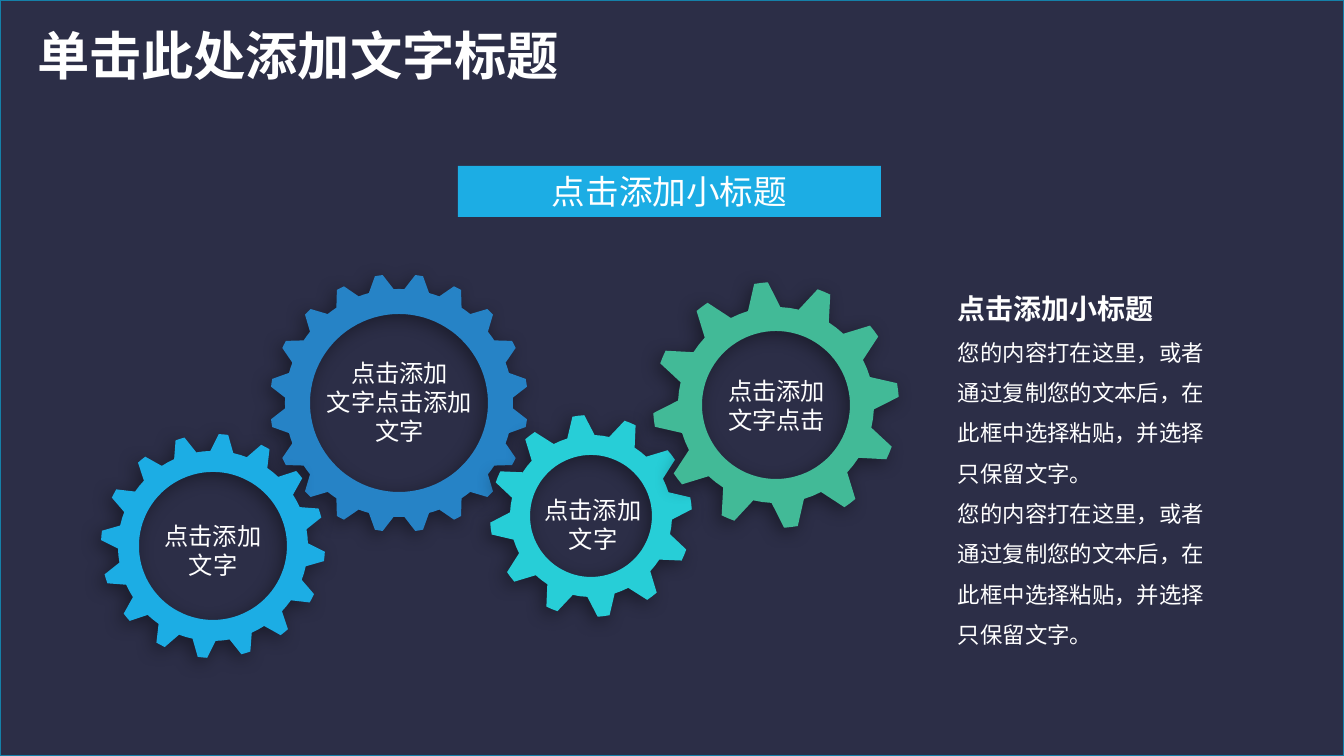
import math

import pptx
import pptx.dml.color
import pptx.enum.shapes
import pptx.enum.text
import pptx.oxml.ns
import pptx.util
from lxml import etree

EMU_PER_PX = 914400 / 134.4
FONT = "Noto Sans CJK SC"
WHITE, NAVY, SKY = "FFFFFF", "2C2E47", "1CADE4"
CENTER = pptx.enum.text.PP_ALIGN.CENTER
MIDDLE = pptx.enum.text.MSO_ANCHOR.MIDDLE
SUBTITLE = "点击添加小标题"
BODY = "您的内容打在这里，或者通过复制您的文本后，在此框中选择粘贴，并选择只保留文字。"

# center x, center y, tip radius, root radius, hole radius, teeth,
# angle of the first tooth, half angle of tip, half angle of tooth base, colour,
# label box (left, top, width, height), label lines
GEARS = [
    (399, 403, 129, 114, 89, 20, 9, 1.75, 6.3, "2683C6",
     (312, 351, 175, 102), ["点击添加", "文字点击添加", "文字"]),
    (591, 516, 101, 81, 61, 12, -7.2, 3.4, 9.8, "27CED7",
     (531, 489, 124, 71), ["点击添加", "文字"]),
    (213, 546, 112, 95, 74, 16, 5.4, 2.4, 7, SKY,
     (151, 515, 124, 71), ["点击添加", "文字"]),
    (776, 405, 123, 98, 74, 12, -7, 3.2, 9.6, "42BA97",
     (689, 370, 175, 71), ["点击添加", "文字点击"]),
]


def px(value):
    return pptx.util.Emu(round(value * EMU_PER_PX))


def color(value):
    return pptx.dml.color.RGBColor.from_string(value)


def paint(shape, fill, line=None):
    shape.shadow.inherit = False
    shape.fill.solid()
    shape.fill.fore_color.rgb = color(fill)
    if line:
        shape.line.color.rgb = color(line)
        shape.line.width = pptx.util.Pt(1)
    else:
        shape.line.fill.background()


def add_rectangle(slide, box, fill, line=None):
    shape = slide.shapes.add_shape(
        pptx.enum.shapes.MSO_SHAPE.RECTANGLE, *map(px, box))
    paint(shape, fill, line)
    return shape


def set_margins(frame, side, end):
    frame.margin_left = frame.margin_right = px(side)
    frame.margin_top = frame.margin_bottom = px(end)


def write(frame, lines, align=None, spacing=None):
    """Fill a text frame with (text, size, bold) lines."""
    for index, (text, size, bold) in enumerate(lines):
        paragraph = frame.add_paragraph() if index else frame.paragraphs[0]
        paragraph.text = text
        paragraph.alignment = align
        paragraph.line_spacing = spacing
        font = paragraph.font
        font.size = pptx.util.Pt(size)
        font.bold = bold
        font.color.rgb = color(WHITE)
        font.name = FONT
        properties = paragraph._p.pPr.find(pptx.oxml.ns.qn("a:defRPr"))
        etree.SubElement(properties, pptx.oxml.ns.qn("a:ea"), typeface=FONT)


def add_text(slide, box, lines, align=None, spacing=None, anchor=None,
             margins=(9, 5), wrap=True):
    frame = slide.shapes.add_textbox(*map(px, box)).text_frame
    frame.word_wrap = wrap
    frame.vertical_anchor = anchor
    set_margins(frame, *margins)
    write(frame, lines, align, spacing)


def add_soft_shadow(shape):
    effects = shape._element.spPr.find(pptx.oxml.ns.qn("a:effectLst"))
    shadow = etree.SubElement(
        effects, pptx.oxml.ns.qn("a:outerShdw"), blurRad="127000",
        dist="38100", dir="8100000", algn="tr", rotWithShape="0")
    black = etree.SubElement(shadow, pptx.oxml.ns.qn("a:srgbClr"), val="000000")
    etree.SubElement(black, pptx.oxml.ns.qn("a:alpha"), val="40000")


def add_gear(slide, x, y, tip, root, hole, teeth, first, tip_half, base_half, fill):
    """Draw a toothed ring; angles run clockwise from the top."""
    def point(radius, degrees):
        angle = math.radians(degrees)
        return px(x + radius * math.sin(angle)), px(y - radius * math.cos(angle))

    step = 360 / teeth
    profile = [(root, -base_half), (tip, -tip_half), (tip, 0), (tip, tip_half),
               (root, base_half), (root, step / 2)]
    rim = [point(radius, first + tooth * step + offset)
           for tooth in range(teeth) for radius, offset in profile]
    opening = [point(hole, -degrees) for degrees in range(0, 360, 4)]
    builder = slide.shapes.build_freeform(*rim[0])
    builder.add_line_segments(rim[1:], close=True)
    builder.move_to(*opening[0])
    builder.add_line_segments(opening[1:], close=True)
    shape = builder.convert_to_shape()
    paint(shape, fill)
    add_soft_shadow(shape)


def main():
    presentation = pptx.Presentation()
    presentation.slide_width = px(1344)
    presentation.slide_height = px(756)
    slide = presentation.slides.add_slide(presentation.slide_layouts[6])

    add_rectangle(slide, (0, 0, 1344, 756), NAVY, "1580A9")
    add_text(slide, (24, 16, 555, 77), [("单击此处添加文字标题", 28, True)],
             margins=(13, 7), wrap=False)

    banner = add_rectangle(slide, (458, 166, 423, 51), SKY).text_frame
    banner.vertical_anchor = MIDDLE
    set_margins(banner, 9, 5)
    write(banner, [(SUBTITLE, 18, False)], CENTER)

    for *gear, label_box, label in GEARS:
        add_gear(slide, *gear)
        add_text(slide, label_box, [(line, 13, False) for line in label],
                 CENTER, anchor=MIDDLE)

    add_text(slide, (949, 270, 285, 387),
             [(SUBTITLE, 15, True), (BODY, 12, False), (BODY, 12, False)],
             spacing=1.5)
    presentation.save("out.pptx")


if __name__ == "__main__":
    main()
